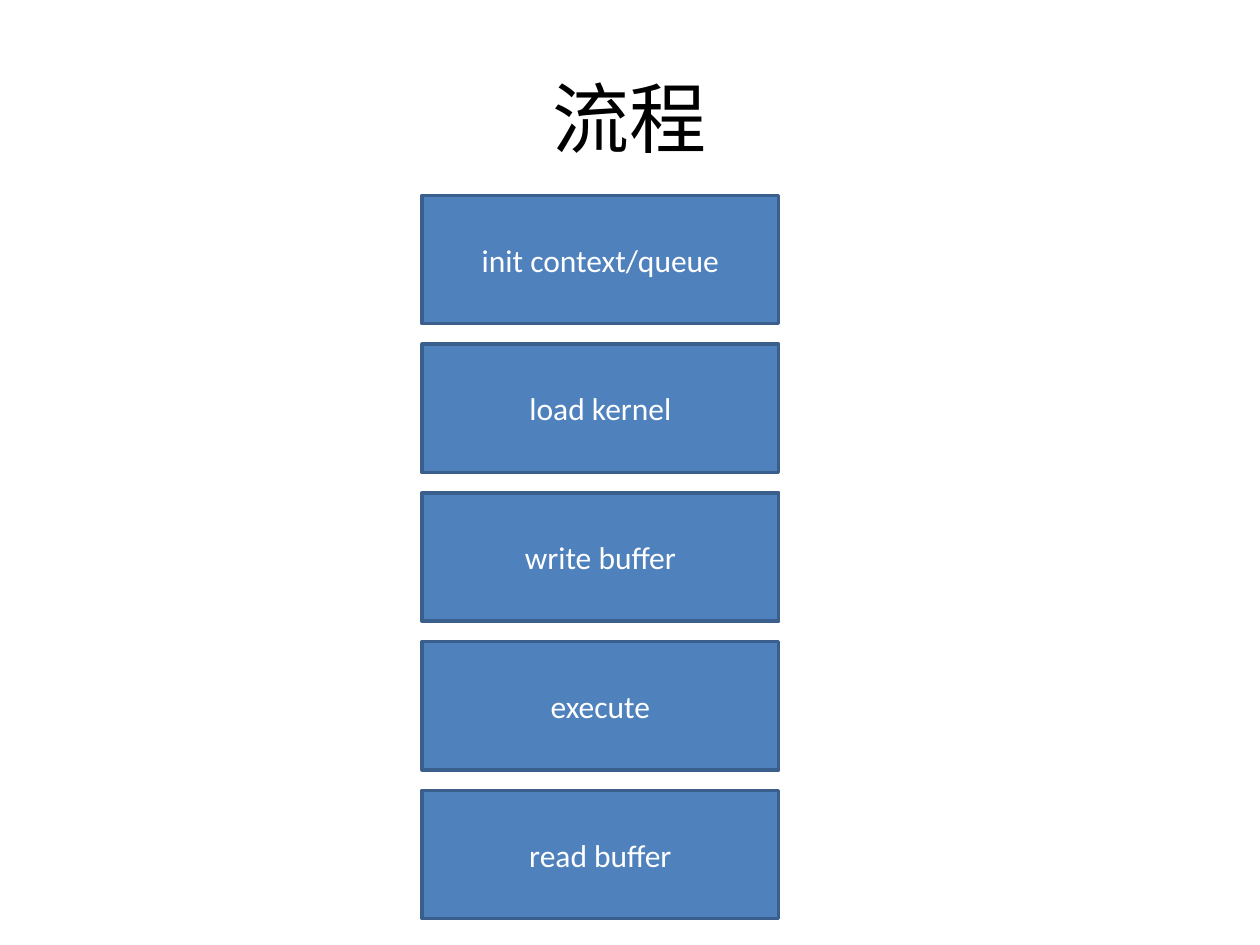
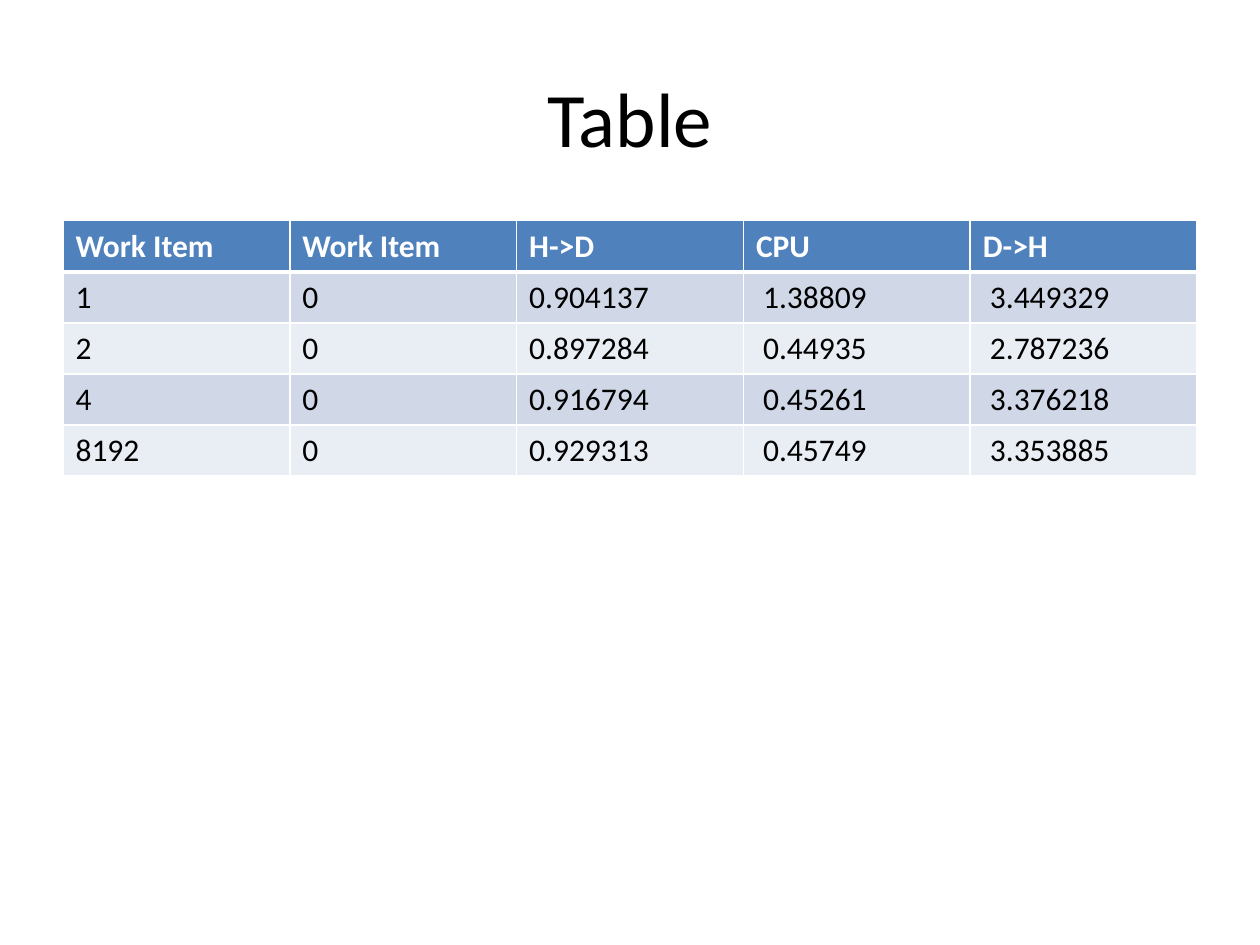
from dataclasses import dataclass

import lxml.etree
import pptx
import pptx.dml.color
import pptx.enum.shapes
import pptx.enum.text
import pptx.oxml.ns
import pptx.util

Cm = pptx.util.Cm
Pt = pptx.util.Pt
ALIGN = pptx.enum.text.PP_ALIGN
ANCHOR = pptx.enum.text.MSO_ANCHOR


@dataclass(frozen=True)
class Theme:
    """Colours, font and type sizes shared by the slides."""
    font: str = "Calibri"
    title_size: int = 44
    body_size: int = 18
    ink: str = "000000"
    paper: str = "FFFFFF"
    accent: str = "4F81BD"
    outline: str = "3A5F8C"
    bands: tuple = ("D0D8E8", "E9EDF4")


@dataclass(frozen=True)
class Box:
    """A region of the slide, in centimetres."""
    left: float
    top: float
    width: float
    height: float

    def lengths(self):
        """Return left, top, width and height as slide lengths."""
        return Cm(self.left), Cm(self.top), Cm(self.width), Cm(self.height)


THEME = Theme()
TITLE_BOX = Box(1.27, 0.76, 22.86, 3.18)
STEPS_BOX = Box(8.51, 3.94, 7.19, 14.58)
TABLE_BOX = Box(1.27, 4.45, 22.86, 5.15)

STEPS = ["init context/queue", "load kernel", "write buffer", "execute", "read buffer"]
TIMINGS = [
    ["Work Item", "Work Item", "H->D", "CPU", "D->H"],
    ["1", "0", "0.904137", " 1.38809", " 3.449329"],
    ["2", "0", "0.897284", " 0.44935", " 2.787236"],
    ["4", "0", "0.916794", " 0.45261", " 3.376218"],
    ["8192", "0", "0.929313", " 0.45749", " 3.353885"],
]


def rgb(value):
    """Turn a hex string into a colour."""
    return pptx.dml.color.RGBColor.from_string(value)


def write_text(text_frame, text, size=THEME.body_size, color=THEME.ink,
               bold=False, align=ALIGN.LEFT, anchor=ANCHOR.TOP):
    """Write one formatted paragraph into a text frame."""
    text_frame.word_wrap = True
    text_frame.vertical_anchor = anchor
    paragraph = text_frame.paragraphs[0]
    paragraph.alignment = align
    run = paragraph.add_run()
    run.text = text
    run.font.name = THEME.font
    run.font.size = Pt(size)
    run.font.bold = bold
    run.font.color.rgb = rgb(color)


def add_title(slide, box, text):
    """Add the centred slide title."""
    shape = slide.shapes.add_textbox(*box.lengths())
    write_text(shape.text_frame, text, size=THEME.title_size,
               align=ALIGN.CENTER, anchor=ANCHOR.MIDDLE)


def add_steps(slide, box, steps, gap=0.41):
    """Stack equal step boxes from top to bottom of the region."""
    height = (box.height - gap * (len(steps) - 1)) / len(steps)
    for index, step in enumerate(steps):
        step_box = Box(box.left, box.top + index * (height + gap), box.width, height)
        shape = slide.shapes.add_shape(
            pptx.enum.shapes.MSO_SHAPE.RECTANGLE, *step_box.lengths())
        shape.shadow.inherit = False
        shape.fill.solid()
        shape.fill.fore_color.rgb = rgb(THEME.accent)
        shape.line.color.rgb = rgb(THEME.outline)
        shape.line.width = Pt(2)
        write_text(shape.text_frame, step, color=THEME.paper,
                   align=ALIGN.CENTER, anchor=ANCHOR.MIDDLE)


def set_borders(cell, color, **widths):
    """Draw cell borders; widths in points are keyed by side: L, R, T, B."""
    qn = pptx.oxml.ns.qn
    properties = cell._tc.get_or_add_tcPr()
    for side, width in widths.items():
        line = lxml.etree.SubElement(properties, qn(f"a:ln{side}"), w=str(Pt(width)))
        fill = lxml.etree.SubElement(line, qn("a:solidFill"))
        lxml.etree.SubElement(fill, qn("a:srgbClr"), val=color)


def add_timings(slide, box, rows):
    """Add a table with a header row and alternating bands."""
    table = slide.shapes.add_table(len(rows), len(rows[0]), *box.lengths()).table
    for column in table.columns:
        column.width = Cm(box.width / len(rows[0]))
    for row_index, values in enumerate(rows):
        header = row_index == 0
        table.rows[row_index].height = Cm(box.height / len(rows))
        fill = THEME.accent if header else THEME.bands[(row_index - 1) % 2]
        for column_index, value in enumerate(values):
            cell = table.cell(row_index, column_index)
            set_borders(cell, THEME.paper, L=1, R=1,
                        T=3 if row_index == 1 else 1, B=3 if header else 1)
            cell.fill.solid()
            cell.fill.fore_color.rgb = rgb(fill)
            write_text(cell.text_frame, value, bold=header,
                       color=THEME.paper if header else THEME.ink)


def add_slide(presentation, title):
    """Add a blank slide with the shared background and title."""
    slide = presentation.slides.add_slide(presentation.slide_layouts[6])
    slide.background.fill.solid()
    slide.background.fill.fore_color.rgb = rgb(THEME.paper)
    add_title(slide, TITLE_BOX, title)
    return slide


def main():
    """Build the process slide and the table slide."""
    presentation = pptx.Presentation()
    presentation.slide_width = Cm(25.4)
    presentation.slide_height = Cm(19.05)
    add_steps(add_slide(presentation, "流程"), STEPS_BOX, STEPS)
    add_timings(add_slide(presentation, "Table"), TABLE_BOX, TIMINGS)
    presentation.save("out.pptx")


main()
